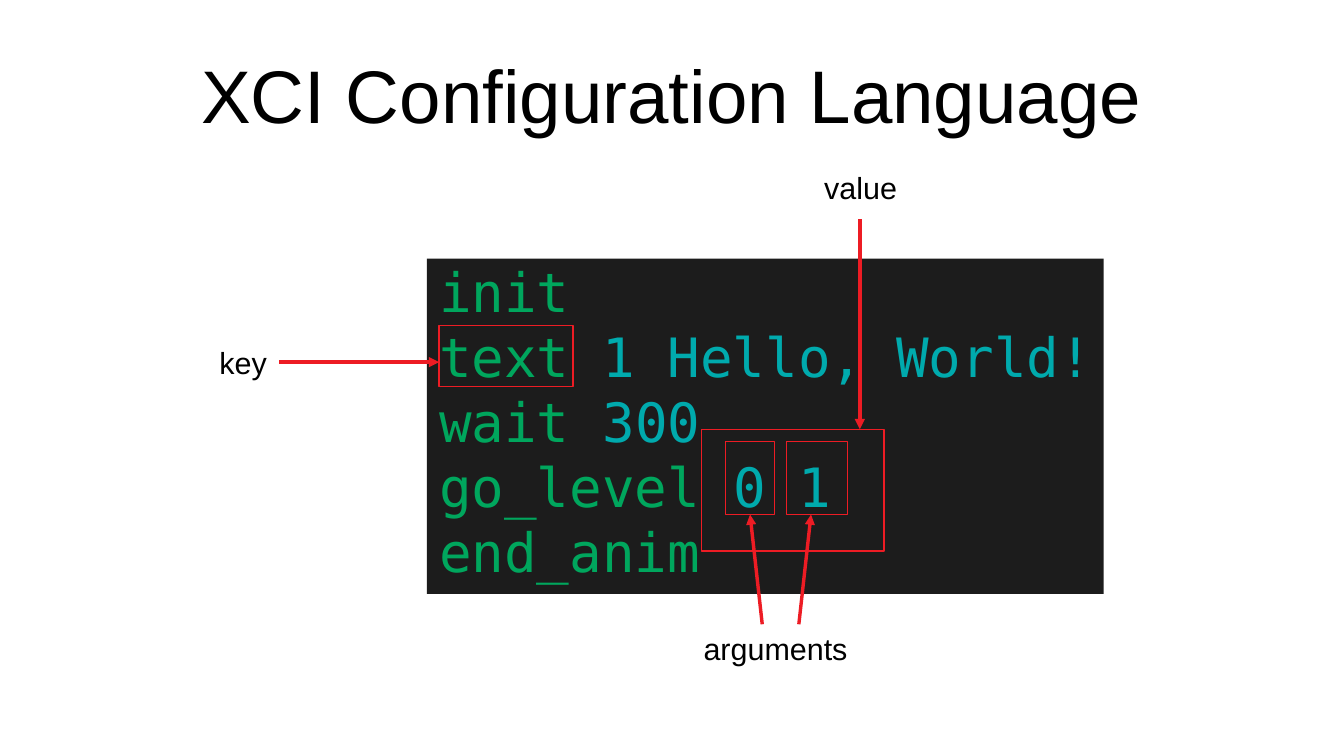
from pptx import Presentation
from pptx.dml.color import RGBColor
from pptx.enum.shapes import MSO_CONNECTOR as Connector, MSO_SHAPE as Shape
from pptx.enum.text import MSO_ANCHOR as Anchor, MSO_AUTO_SIZE as AutoSize, PP_ALIGN as Align
from pptx.oxml.ns import qn
from pptx.util import Pt
from lxml.etree import SubElement

BLACK = RGBColor(0x00, 0x00, 0x00)
CODE_BACKGROUND = RGBColor(0x1C, 0x1C, 0x1C)
KEY_GREEN = RGBColor(0x00, 0xA6, 0x5D)
VALUE_CYAN = RGBColor(0x00, 0xAA, 0xAD)
MARK_RED = RGBColor(0xED, 0x1C, 0x24)


def place(part, left, top, width, height):
    part.left, part.top, part.width, part.height = Pt(left), Pt(top), Pt(width), Pt(height)


def style(font, name, size, color):
    font.name, font.size, font.color.rgb = name, Pt(size), color


deck = Presentation()
deck.slide_width, deck.slide_height = Pt(793.44), Pt(446.4)
slide = deck.slides.add_slide(deck.slide_layouts[0])
title, code = slide.placeholders

for part in (title, code):
    frame = part.text_frame
    frame.margin_left = frame.margin_right = frame.margin_top = frame.margin_bottom = 0
    frame.word_wrap = True
    frame.auto_size = AutoSize.NONE

place(title, 39.6, 18, 714.24, 74.88)
title.text_frame.text = "XCI Configuration Language"
title.text_frame.vertical_anchor = Anchor.MIDDLE
heading = title.text_frame.paragraphs[0]
heading.alignment = Align.CENTER
style(heading.runs[0].font, "Arial", 44, BLACK)

place(code, 252, 152.64, 399.6, 198)
code.fill.solid()
code.fill.fore_color.rgb = CODE_BACKGROUND
code.text_frame.vertical_anchor = Anchor.TOP
statements = [
    ("init", ""),
    ("text ", "1 Hello, World!"),
    ("wait ", "300"),
    ("go_level ", "0 1"),
    ("end_anim", ""),
]
for index, (key, value) in enumerate(statements):
    line = code.text_frame.paragraphs[0] if index == 0 else code.text_frame.add_paragraph()
    line.alignment = Align.LEFT
    line.space_before = Pt(0)
    indent = line._p.get_or_add_pPr()
    indent.set("marL", str(Pt(7.2)))
    indent.set("indent", "0")
    for words, color in ((key, KEY_GREEN), (value, VALUE_CYAN)):
        if words:
            run = line.add_run()
            run.text = words
            style(run.font, "DejaVu Sans Mono", 32, color)

marks = [
    (259.2, 192.24, 79.2, 36),
    (414, 253.44, 108, 72),
    (428.4, 260.64, 28.8, 43.2),
    (464.4, 260.64, 36, 43.2),
]
for left, top, width, height in marks:
    mark = slide.shapes.add_shape(Shape.RECTANGLE, Pt(left), Pt(top), Pt(width), Pt(height))
    mark.shadow.inherit = False
    mark.fill.background()
    mark.line.color.rgb = MARK_RED
    mark.line.width = Pt(0)

labels = [
    ("key", 122.4, 199.44, 42.48),
    ("value", 479.52, 96.48, 57.6),
    ("arguments", 408.24, 368.64, 99.36),
]
for words, left, top, width in labels:
    label = slide.shapes.add_textbox(Pt(left), Pt(top), Pt(width), Pt(27.36))
    label.text_frame.word_wrap = False
    label.text_frame.auto_size = AutoSize.SHAPE_TO_FIT_TEXT
    label.text_frame.text = words
    style(label.text_frame.paragraphs[0].runs[0].font, "Arial", 18, BLACK)

arrows = [
    (164.88, 213.84, 259.2, 213.84),
    (507.6, 129.6, 507.6, 253.44),
    (450, 368.64, 442.8, 303.84),
    (471.6, 368.64, 478.8, 303.84),
]
for ends in arrows:
    arrow = slide.shapes.add_connector(Connector.STRAIGHT, *map(Pt, ends))
    arrow.line.color.rgb = MARK_RED
    arrow.line.width = Pt(0)
    SubElement(arrow.line._get_or_add_ln(), qn("a:tailEnd"), type="triangle")
    SubElement(arrow._element.spPr, qn("a:effectLst"))

deck.save("out.pptx")
